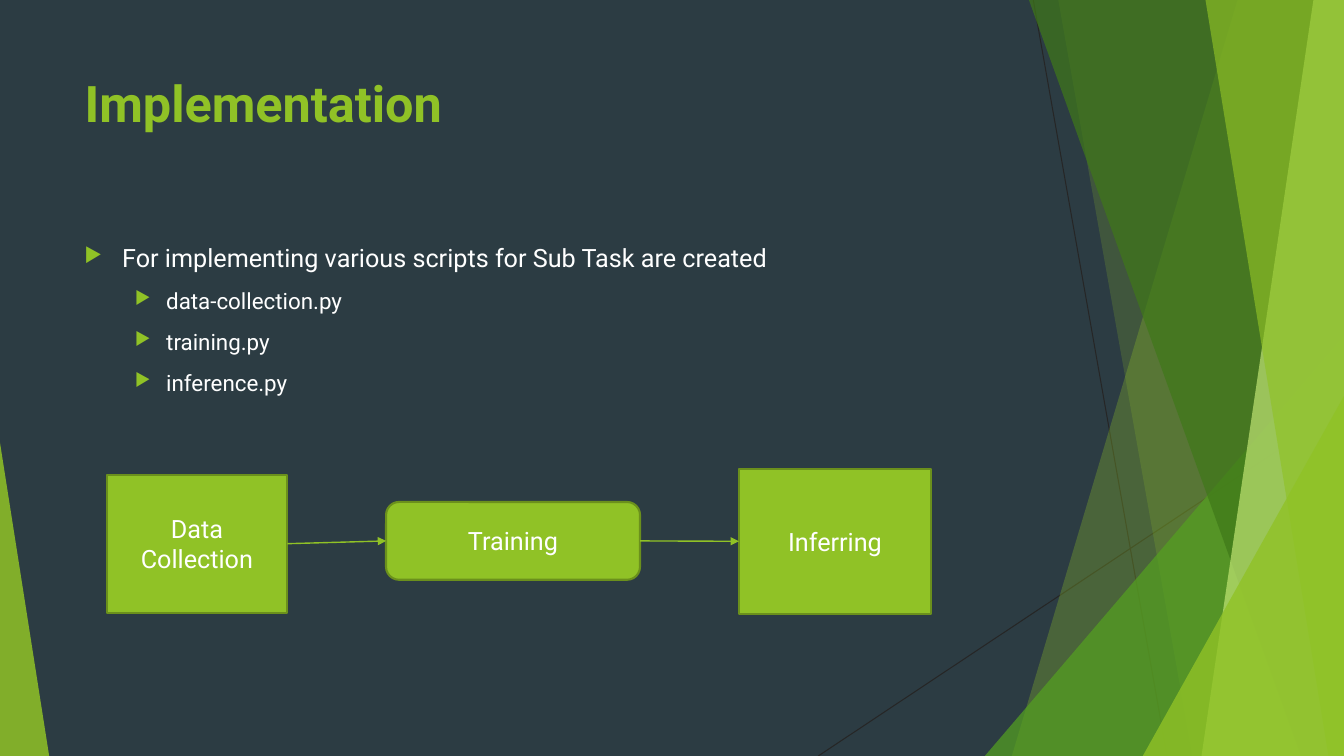
from lxml.etree import SubElement
from pptx import Presentation
from pptx.dml.color import RGBColor
from pptx.enum.shapes import MSO_CONNECTOR, MSO_SHAPE
from pptx.enum.text import MSO_ANCHOR, PP_ALIGN
from pptx.oxml.ns import qn
from pptx.util import Cm, Pt

COLORS = {
    "bg": "2C3C43", "text": "FFFFFF", "lime": "90C226", "border": "6B901C",
    "green": "54A021", "forest": "3F7819", "pale": "C0E474", "hairline": "262626",
}
FONT = "Roboto"
W, H = 33.87, 19.05


def rgb(name):
    return RGBColor.from_string(COLORS[name])


class Deck:
    """Holds the presentation, its style and the current slide."""

    def __init__(self):
        self.prs = Presentation()
        self.prs.slide_width, self.prs.slide_height = Cm(W), Cm(H)
        self.s = self.prs.slides.add_slide(self.prs.slide_layouts[5])
        fill = self.s.background.fill
        fill.solid()
        fill.fore_color.rgb = rgb("bg")

    def run(self, p, text, size, color="text", bold=False):
        r = p.add_run()
        r.text = text
        r.font.name, r.font.size, r.font.bold = FONT, Pt(size), bold
        r.font.color.rgb = rgb(color)

    def paint(self, sp, color, alpha=100):
        sp.shadow.inherit = False
        sp.fill.solid()
        sp.fill.fore_color.rgb = rgb(color)
        if alpha < 100:
            clr = sp.fill._xPr.find(qn("a:solidFill")).find(qn("a:srgbClr"))
            SubElement(clr, qn("a:alpha"), val=str(alpha * 1000))
        sp.line.fill.background()

    def strip(self, top_x, bottom_x, color, alpha):
        fb = self.s.shapes.build_freeform(Cm(top_x), 0, scale=1.0)
        fb.add_line_segments([(Cm(x), Cm(y)) for x, y in ((W, 0), (W, H), (bottom_x, H))])
        self.paint(fb.convert_to_shape(), color, alpha)

    def triangle(self, x, y, w, apex, color, alpha):
        sp = self.s.shapes.add_shape(
            MSO_SHAPE.ISOSCELES_TRIANGLE, Cm(x), Cm(y), Cm(w), Cm(H - y))
        sp.adjustments[0] = apex
        self.paint(sp, color, alpha)

    def line(self, x1, y1, x2, y2, color, width):
        cn = self.s.shapes.add_connector(
            MSO_CONNECTOR.STRAIGHT, Cm(x1), Cm(y1), Cm(x2), Cm(y2))
        cn.line.color.rgb, cn.line.width = rgb(color), Pt(width)
        SubElement(cn._element.spPr, qn("a:effectLst"))
        return cn

    def arrow(self, start, end):
        cn = self.line(0, 0, 1, 1, "lime", 1)
        cn.begin_connect(start, 3)
        cn.end_connect(end, 1)
        SubElement(cn.line._get_or_add_ln(), qn("a:tailEnd"), type="triangle")

    def title(self, text, x, y, w, h):
        sp = self.s.shapes.title
        sp.left, sp.top, sp.width, sp.height = Cm(x), Cm(y), Cm(w), Cm(h)
        tf = sp.text_frame
        tf.vertical_anchor = MSO_ANCHOR.TOP
        tf.paragraphs[0].alignment = PP_ALIGN.LEFT
        self.run(tf.paragraphs[0], text, 36, "lime", bold=True)
        self.s.shapes._spTree.append(sp._element)

    def bullets(self, items, x, y, w, h):
        tf = self.s.shapes.add_textbox(Cm(x), Cm(y), Cm(w), Cm(h)).text_frame
        tf.word_wrap = True
        for i, (level, text) in enumerate(items):
            p = tf.paragraphs[0] if i == 0 else tf.add_paragraph()
            p.level = level
            margin, indent, size = ((0.95, 0.95, 18), (2.06, 0.79, 16))[level]
            pPr = p._p.get_or_add_pPr()
            pPr.set("marL", str(Cm(margin)))
            pPr.set("indent", str(-Cm(indent)))
            clr = SubElement(pPr, qn("a:buClr"))
            SubElement(clr, qn("a:srgbClr"), val=COLORS["lime"])
            SubElement(pPr, qn("a:buSzPct"), val="80000")
            SubElement(pPr, qn("a:buChar"), char="▶")
            p.space_before = Pt(10 if i else 0)
            self.run(p, text, size)

    def box(self, kind, text, x, y, w, h):
        sp = self.s.shapes.add_shape(kind, Cm(x), Cm(y), Cm(w), Cm(h))
        self.paint(sp, "lime")
        sp.line.color.rgb, sp.line.width = rgb("border"), Pt(1.5)
        tf = sp.text_frame
        tf.word_wrap = True
        tf.vertical_anchor = MSO_ANCHOR.MIDDLE
        tf.paragraphs[0].alignment = PP_ALIGN.CENTER
        self.run(tf.paragraphs[0], text, 18)
        return sp


def main():
    d = Deck()
    d.line(26.04, 0, 29.41, H, "hairline", 0.75)
    d.line(W, 10.24, 20.62, H, "hairline", 0.75)
    d.strip(31.19, 25.5, "lime", 30)
    d.strip(26.67, 30.05, "lime", 20)
    d.triangle(24.82, 8.46, 9.05, 1, "green", 72)
    d.strip(25.93, 32.79, "forest", 70)
    d.strip(33.1, 30.28, "pale", 70)
    d.strip(30.38, 33.48, "lime", 65)
    d.triangle(28.8, 9.98, 5.07, 1, "lime", 80)
    d.triangle(0, 11.15, 1.24, 0, "lime", 85)

    d.title("Implementation", 1.88, 1.7, 23.88, 3.66)
    d.bullets([
        (0, "For implementing various scripts for Sub Task are created"),
        (1, "data-collection.py"),
        (1, "training.py"),
        (1, "inference.py"),
    ], 1.88, 5.99, 21.29, 4.67)

    collection = d.box(MSO_SHAPE.RECTANGLE, "Data Collection", 2.69, 11.96, 4.55, 3.48)
    training = d.box(MSO_SHAPE.ROUNDED_RECTANGLE, "Training", 9.73, 12.65, 6.4, 1.96)
    inferring = d.box(MSO_SHAPE.RECTANGLE, "Inferring", 18.62, 11.81, 4.85, 3.66)
    d.arrow(collection, training)
    d.arrow(training, inferring)
    d.prs.save("out.pptx")


if __name__ == "__main__":
    main()
